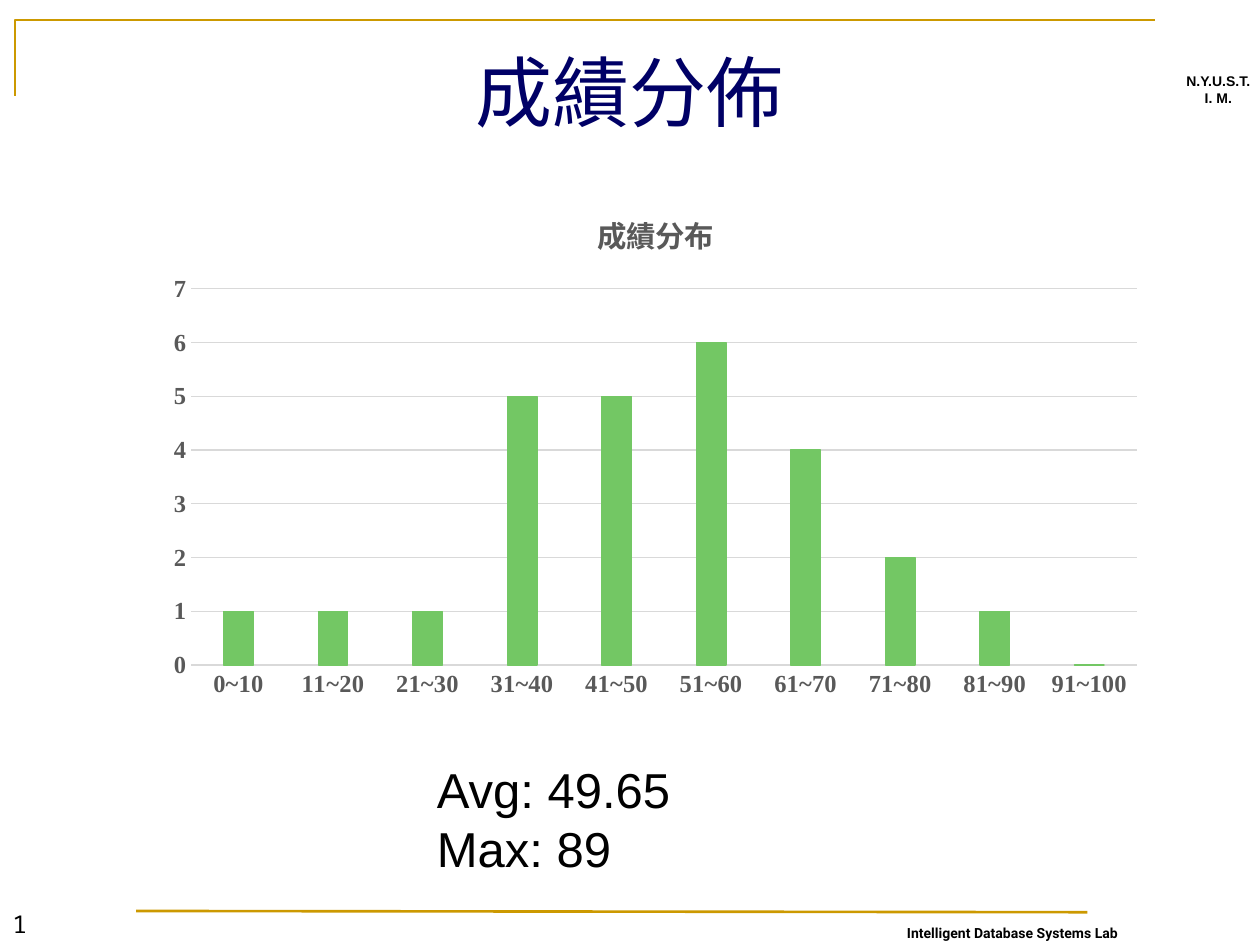
from lxml import etree
from pptx import Presentation
from pptx.chart.data import CategoryChartData
from pptx.dml.color import RGBColor
from pptx.enum import chart as charts, shapes, text
from pptx.oxml import ns
from pptx.util import Inches, Pt

COLORS = {
    "gold": "CC9900",
    "navy": "000066",
    "black": "000000",
    "gray": "595959",
    "grid": "D9D9D9",
    "green": "73C764",
}
SCORES = {
    "0~10": 1, "11~20": 1, "21~30": 1, "31~40": 5, "41~50": 5,
    "51~60": 6, "61~70": 4, "71~80": 2, "81~90": 1, "91~100": 0,
}


def color(name):
    return RGBColor.from_string(COLORS[name])


class SlideBuilder:
    """Holds the shared style and the current page."""

    serif, sans = "Times New Roman", "Arial"
    rule_width = Pt(1.5)
    hairline = Pt(0.75)

    def __init__(self, page):
        self.page = page

    def style_font(self, font, name, size, tint="black", bold=False):
        font.name, font.size, font.bold = name, Pt(size), bold
        font.color.rgb = color(tint)

    def style_line(self, line, tint, width):
        line.color.rgb = color(tint)
        line.width = width

    def fill_text(self, frame, content, name, size, tint="black", bold=False,
                  align=text.PP_ALIGN.LEFT):
        frame.text = content
        for para in frame.paragraphs:
            para.alignment = align
            for span in para.runs:
                self.style_font(span.font, name, size, tint, bold)

    def title(self, content, left, top, width, height):
        box = self.page.shapes.title
        box.left, box.top = Inches(left), Inches(top)
        box.width, box.height = Inches(width), Inches(height)
        frame = box.text_frame
        frame.vertical_anchor = text.MSO_ANCHOR.MIDDLE
        self.fill_text(frame, content, self.serif, 44, "navy",
                       align=text.PP_ALIGN.CENTER)

    def label(self, content, left, top, width, height, name, size,
              wrap=True, anchor=text.MSO_ANCHOR.TOP, **style):
        box = self.page.shapes.add_textbox(
            Inches(left), Inches(top), Inches(width), Inches(height))
        frame = box.text_frame
        frame.word_wrap = wrap
        frame.vertical_anchor = anchor
        self.fill_text(frame, content, name, size, **style)

    def rule(self, start, end):
        line = self.page.shapes.add_connector(
            shapes.MSO_CONNECTOR.STRAIGHT,
            *(Inches(value) for value in (*start, *end)))
        self.style_line(line.line, "gold", self.rule_width)
        etree.SubElement(line._element.spPr, ns.qn("a:effectLst"))

    def corner(self, *points):
        first, *rest = [(Inches(x), Inches(y)) for x, y in points]
        builder = self.page.shapes.build_freeform(*first)
        builder.add_line_segments(rest, close=False)
        outline = builder.convert_to_shape()
        outline.shadow.inherit = False
        outline.fill.background()
        self.style_line(outline.line, "gold", self.rule_width)

    def column_chart(self, heading, values, left, top, width, height):
        data = CategoryChartData()
        data.categories = list(values)
        data.add_series("Series 1", list(values.values()))
        chart = self.page.shapes.add_chart(
            charts.XL_CHART_TYPE.COLUMN_CLUSTERED, Inches(left), Inches(top),
            Inches(width), Inches(height), data).chart
        self.style_font(chart.font, self.serif, 14, bold=True)
        chart.has_legend = False

        # Chart title
        chart.has_title = True
        chart.chart_title.include_in_layout = False
        self.fill_text(chart.chart_title.text_frame, heading, self.serif,
                       16.8, "gray", True, text.PP_ALIGN.CENTER)

        # Columns
        plot = chart.plots[0]
        plot.gap_width, plot.overlap = 219, -27
        plot.vary_by_categories = False
        columns = plot.series[0].format
        columns.fill.solid()
        columns.fill.fore_color.rgb = color("green")
        self.style_line(columns.line, "green", self.hairline)

        # Axes
        for axis in (chart.category_axis, chart.value_axis):
            axis.major_tick_mark = charts.XL_TICK_MARK.NONE
            axis.minor_tick_mark = charts.XL_TICK_MARK.NONE
            self.style_font(axis.tick_labels.font, self.serif, 14, "gray", True)
        self.style_line(chart.category_axis.format.line, "grid", self.hairline)
        scale = chart.value_axis
        scale.minimum_scale, scale.maximum_scale, scale.major_unit = 0, 7, 1
        scale.format.line.fill.background()
        self.style_line(scale.major_gridlines.format.line, "grid", self.hairline)


def main():
    deck = Presentation()
    deck.slide_width, deck.slide_height = Inches(10), Inches(7.5)
    slide = SlideBuilder(deck.slides.add_slide(
        deck.slide_layouts.get_by_name("Title Only")))

    # Frame and lab names
    slide.corner((0.12, 0.76), (0.12, 0.16), (9.17, 0.16))
    slide.rule((1.08, 7.23), (8.63, 7.24))
    slide.label("Intelligent Database Systems Lab", 7.1, 7.29, 1.97, 0.23,
                "Roboto", 8, wrap=False, bold=True)
    slide.label("N.Y.U.S.T.\nI. M.", 9.29, 0.53, 0.76, 0.37, slide.sans, 8,
                bold=True, align=text.PP_ALIGN.CENTER)

    # Title and page number
    slide.title("成績分佈", 0.5, 0.3, 9, 0.84)
    slide.label("1", 0, 7, 2.33, 0.5, "Noto Sans Mono", 14,
                anchor=text.MSO_ANCHOR.BOTTOM)

    # Score distribution and summary
    slide.label("Avg: 49.65\nMax: 89", 3.37, 5.98, 4.2, 1.04, slide.sans, 28)
    slide.column_chart("成績分布", SCORES, 1.22, 1.49, 7.96, 4.13)

    deck.save("out.pptx")


if __name__ == "__main__":
    main()
